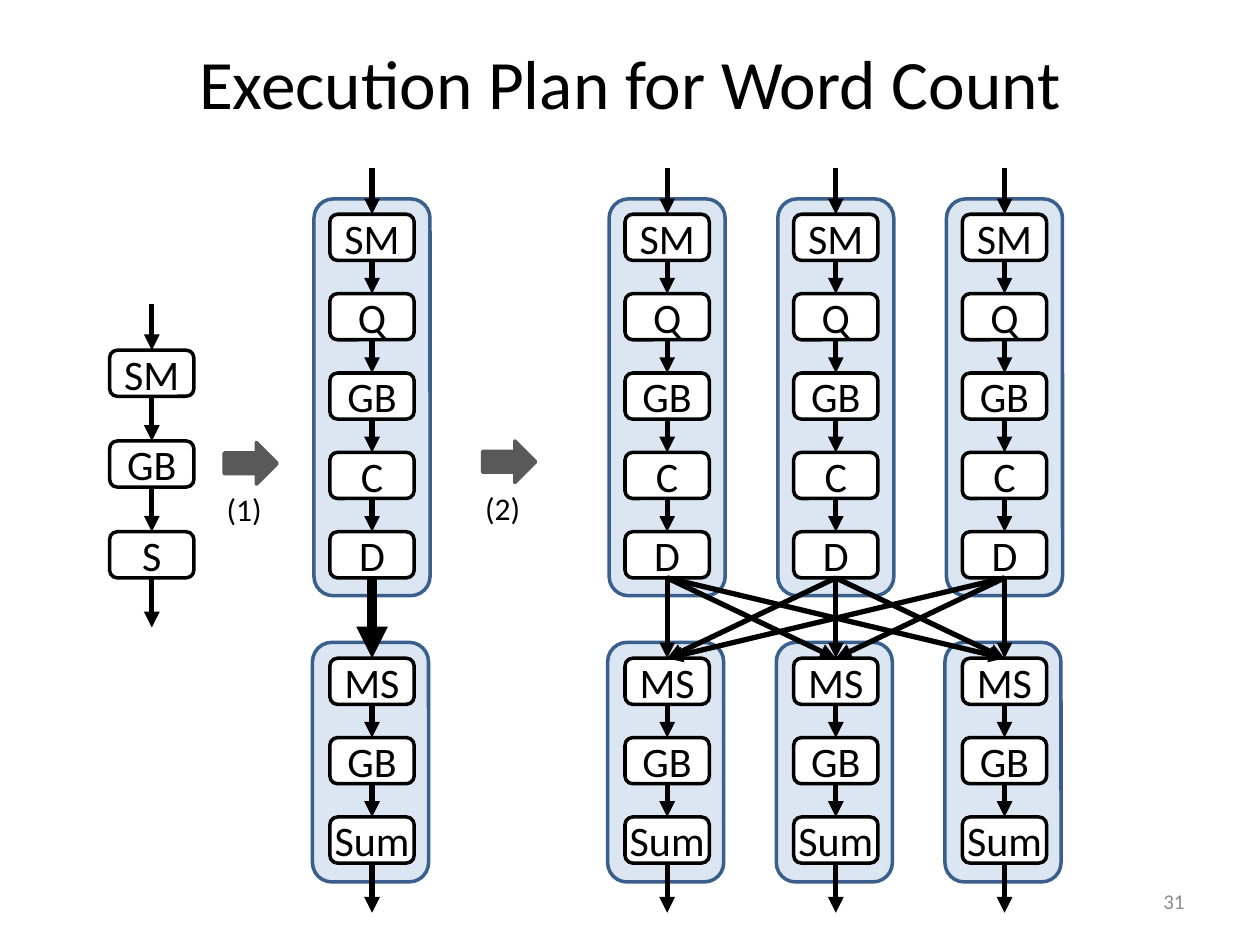
from dataclasses import dataclass
from itertools import product

from lxml import etree
from pptx import Presentation
from pptx.dml.color import RGBColor
from pptx.enum.shapes import MSO_CONNECTOR, MSO_SHAPE
from pptx.enum.text import MSO_ANCHOR, MSO_AUTO_SIZE, PP_ALIGN
from pptx.oxml.ns import qn
from pptx.util import Cm, Pt

ROUNDED = MSO_SHAPE.ROUNDED_RECTANGLE
BLOCK_ARROW = MSO_SHAPE.RIGHT_ARROW
STRAIGHT = MSO_CONNECTOR.STRAIGHT
MIDDLE = MSO_ANCHOR.MIDDLE
TOP = MSO_ANCHOR.TOP
LEFT, CENTER, RIGHT = PP_ALIGN.LEFT, PP_ALIGN.CENTER, PP_ALIGN.RIGHT

FONT = "Calibri"
COLORS = {
    "black": "000000",
    "white": "FFFFFF",
    "panel": "DCE6F2",
    "panel_line": "3A5F8C",
    "step": "595959",
    "page_number": "8C8C8C",
}

NODE_WIDTH, NODE_HEIGHT = 1.7, 0.93
ENTRY_LENGTH, EXIT_LENGTH = 0.93, 1.0
PANEL_WIDTH = 2.34


@dataclass(frozen=True)
class Chain:
    labels: tuple[str, ...]
    top: float
    pitch: float
    entry: bool = False
    exit: bool = False

    @property
    def bottom(self) -> float:
        return self.top + (len(self.labels) - 1) * self.pitch + NODE_HEIGHT


@dataclass(frozen=True)
class Panel:
    offset: float
    top: float
    height: float


@dataclass(frozen=True)
class Step:
    label: str
    left: float
    top: float


QUERY = Chain(("SM", "GB", "S"), 7.06, 1.83, entry=True, exit=True)
MAP = Chain(("SM", "Q", "GB", "C", "D"), 4.32, 1.6, entry=True)
REDUCE = Chain(("MS", "GB", "Sum"), 13.27, 1.6, exit=True)
PANELS = (Panel(-1.2, 12.95, 4.83), Panel(-1.17, 4.01, 8.0))
STEPS = (Step("(1)", 4.52, 8.92), Step("(2)", 9.73, 8.89))

QUERY_CENTER = 3.06
PLAN_CENTER = 7.5
WORKER_CENTERS = [13.45 + 3.4 * index for index in range(3)]

deck = Presentation()
deck.slide_width, deck.slide_height = Cm(25.4), Cm(19.05)
page = deck.slides.add_slide(deck.slide_layouts[5])


def color(name: str) -> RGBColor:
    return RGBColor.from_string(COLORS[name])


def write(shape, text: str, size: float, ink: str = "black",
          align=CENTER, anchor=MIDDLE) -> None:
    frame = shape.text_frame
    frame.auto_size = MSO_AUTO_SIZE.NONE
    frame.word_wrap = True
    frame.vertical_anchor = anchor
    para = frame.paragraphs[0]
    para.alignment = align
    span = para.add_run()
    span.text = text
    span.font.name = FONT
    span.font.size = Pt(size)
    span.font.color.rgb = color(ink)


def add_box(kind, left: float, top: float, width: float, height: float,
            fill: str, line: str):
    box = page.shapes.add_shape(kind, Cm(left), Cm(top), Cm(width), Cm(height))
    box.shadow.inherit = False
    box.fill.solid()
    box.fill.fore_color.rgb = color(fill)
    box.line.color.rgb = color(line)
    box.line.width = Pt(2)
    return box


def add_label(text: str, left: float, top: float, width: float, height: float,
              size: float, **style) -> None:
    box = page.shapes.add_textbox(Cm(left), Cm(top), Cm(width), Cm(height))
    write(box, text, size, **style)


def add_arrow(start_x: float, start_y: float, end_x: float, end_y: float,
              weight: float = 3) -> None:
    arrow = page.shapes.add_connector(
        STRAIGHT, Cm(start_x), Cm(start_y), Cm(end_x), Cm(end_y))
    arrow.line.color.rgb = color("black")
    arrow.line.width = Pt(weight)
    etree.SubElement(arrow.line._get_or_add_ln(), qn("a:tailEnd"), type="triangle")
    etree.SubElement(arrow._element.spPr, qn("a:effectLst"))


def add_chain(chain: Chain, center: float) -> None:
    for index, label in enumerate(chain.labels):
        top = chain.top + index * chain.pitch
        node = add_box(ROUNDED, center - NODE_WIDTH / 2, top,
                       NODE_WIDTH, NODE_HEIGHT, "white", "black")
        node.text_frame.margin_left = node.text_frame.margin_right = 0
        write(node, label, 24)
        if index:
            add_arrow(center, top - chain.pitch + NODE_HEIGHT, center, top)
    if chain.entry:
        add_arrow(center, chain.top - ENTRY_LENGTH, center, chain.top)
    if chain.exit:
        add_arrow(center, chain.bottom, center, chain.bottom + EXIT_LENGTH)


def add_plan(center: float) -> None:
    for panel in PANELS:
        add_box(ROUNDED, center + panel.offset, panel.top, PANEL_WIDTH,
                panel.height, "panel", "panel_line")
    add_chain(MAP, center)
    add_chain(REDUCE, center)


def add_step(step: Step) -> None:
    add_box(BLOCK_ARROW, step.left, step.top, 1.07, 0.84, "step", "step")
    add_label(step.label, step.left - 0.2, step.top + 0.84, 1.3, 1.0, 18,
              align=LEFT, anchor=TOP)


title = page.shapes.title
title.left, title.top, title.width, title.height = Cm(1.27), Cm(0.76), Cm(22.86), Cm(1.78)
write(title, "Execution Plan for Word Count", 39.6)

add_chain(QUERY, QUERY_CENTER)
for step in STEPS:
    add_step(step)
for center in (PLAN_CENTER, *WORKER_CENTERS):
    add_plan(center)

add_arrow(PLAN_CENTER, MAP.bottom, PLAN_CENTER, REDUCE.top, weight=6)
for source, target in product(WORKER_CENTERS, repeat=2):
    add_arrow(source, MAP.bottom, target, REDUCE.top)

add_label("31", 18.21, 17.65, 5.92, 1.02, 12, ink="page_number", align=RIGHT)

deck.save("out.pptx")
